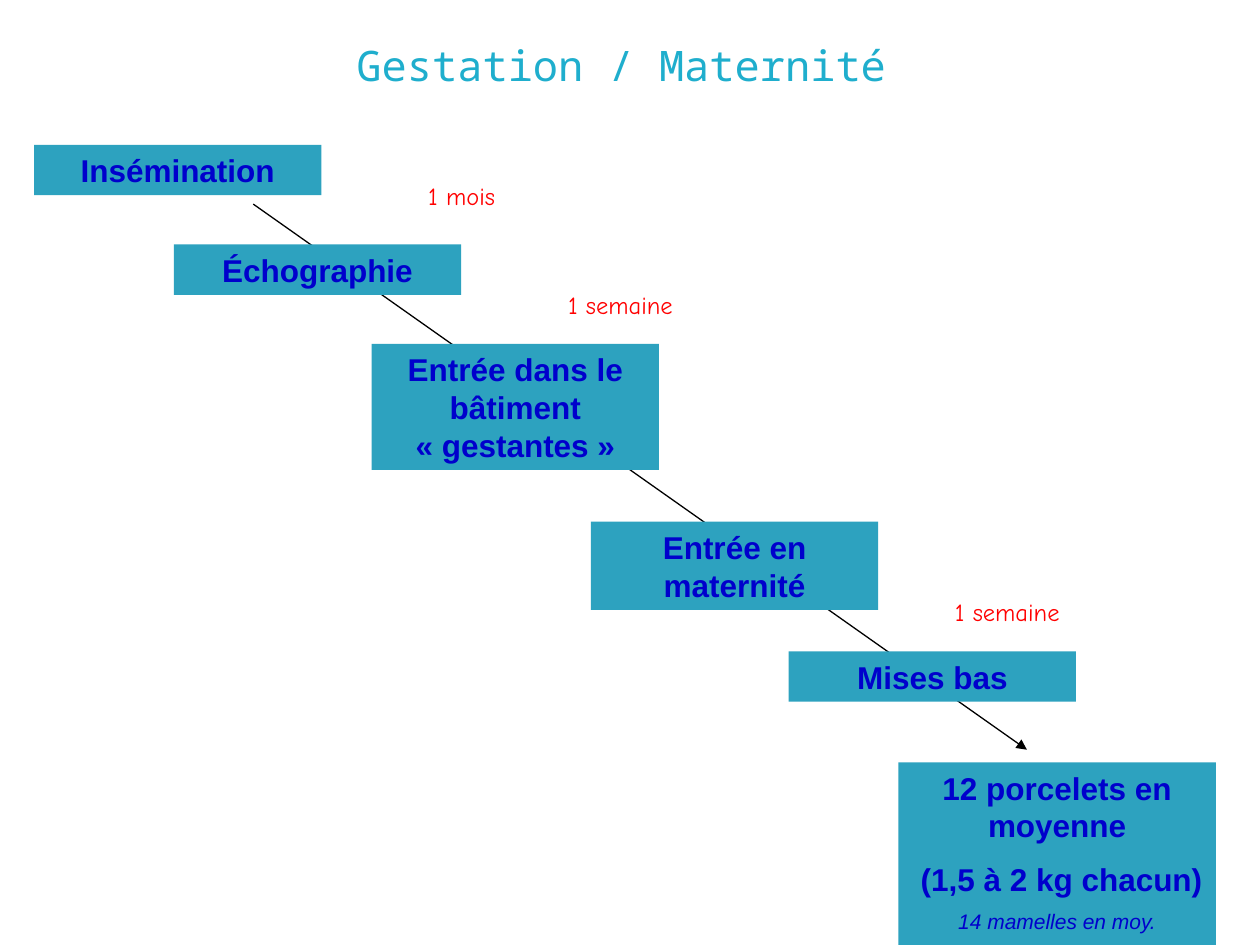
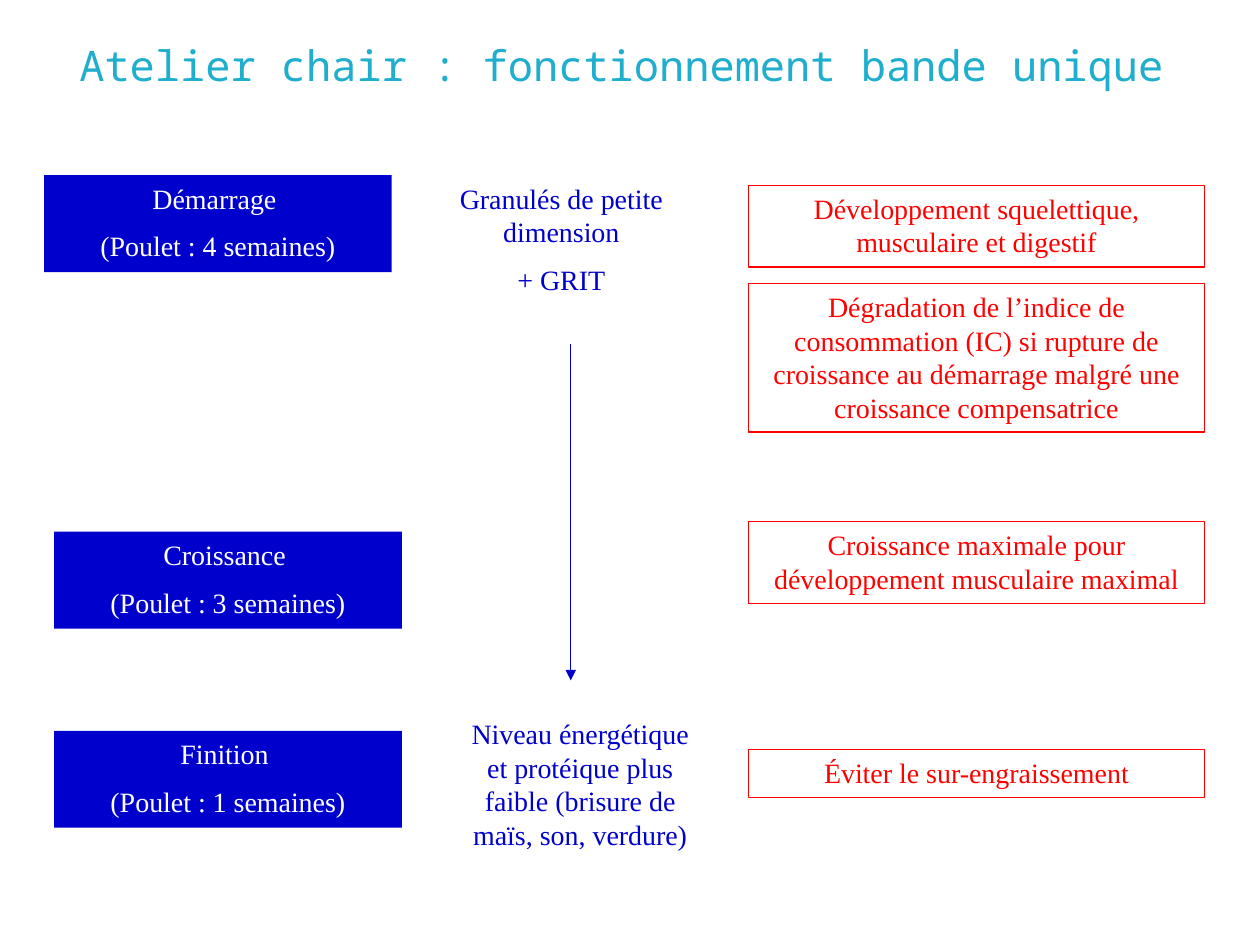
from lxml import etree
from pptx import Presentation
from pptx.dml.color import RGBColor
from pptx.enum.shapes import MSO_CONNECTOR, MSO_SHAPE
from pptx.enum.text import MSO_ANCHOR, MSO_AUTO_SIZE, PP_ALIGN
from pptx.oxml.ns import qn
from pptx.util import Inches, Pt

TITLE_CYAN = RGBColor(0x1F, 0xAE, 0xCD)
TEAL = RGBColor(0x2D, 0xA2, 0xBF)
BLUE = RGBColor(0x00, 0x00, 0xCC)
RED = RGBColor(0xFF, 0x00, 0x00)
WHITE = RGBColor(0xFF, 0xFF, 0xFF)
BLACK = RGBColor(0x00, 0x00, 0x00)

TITLE_FONT, STEP_FONT = "Noto Sans Mono", "Arial"
DELAY_FONT, PHASE_FONT = "Comic Neue", "Times New Roman"


def add_block(slide, box, lines, font, size, color, fill=None, outline=None):
    """Add centred text, in a rectangle when a fill or an outline is given."""
    place = [Inches(length) for length in box]
    if fill is None and outline is None:
        shape = slide.shapes.add_textbox(*place)
    else:
        shape = slide.shapes.add_shape(MSO_SHAPE.RECTANGLE, *place)
        shape.shadow.inherit = False
        if fill is None:
            shape.fill.background()
        else:
            shape.fill.solid()
            shape.fill.fore_color.rgb = fill
        if outline is None:
            shape.line.fill.background()
        else:
            shape.line.color.rgb = outline
            shape.line.width = Pt(0.75)
    frame = shape.text_frame
    frame.word_wrap = True
    frame.auto_size = MSO_AUTO_SIZE.SHAPE_TO_FIT_TEXT
    frame.vertical_anchor = MSO_ANCHOR.TOP
    frame.text = "\n".join(lines)
    for index, paragraph in enumerate(frame.paragraphs):
        paragraph.alignment = PP_ALIGN.CENTER
        paragraph.font.name = font
        paragraph.font.size = Pt(size)
        paragraph.font.color.rgb = color
        if index:
            paragraph.space_before = Pt(size / 2)
    return shape


def add_arrow(slide, start, end, color):
    points = [Inches(length) for length in start + end]
    arrow = slide.shapes.add_connector(MSO_CONNECTOR.STRAIGHT, *points)
    arrow.line.color.rgb = color
    arrow.line.width = Pt(0.75)
    properties = arrow.element.spPr
    etree.SubElement(arrow.line._get_or_add_ln(), qn("a:tailEnd"), type="triangle")
    etree.SubElement(properties, qn("a:effectLst"))


presentation = Presentation()
presentation.slide_width = Inches(10)
presentation.slide_height = Inches(7.5)

# Slides with their shared title style
slides = []
for title in ("Gestation / Maternité", "Atelier chair : fonctionnement bande unique"):
    slide = presentation.slides.add_slide(presentation.slide_layouts[6])
    heading = add_block(slide, (0.43, 0.13, 9, 0.77), [title], TITLE_FONT, 24, TITLE_CYAN)
    heading.text_frame.auto_size = MSO_AUTO_SIZE.NONE
    heading.text_frame.vertical_anchor = MSO_ANCHOR.MIDDLE
    slides.append(slide)
gestation, meat = slides

# Gestation: the arrow runs behind the staircase of steps
add_arrow(gestation, (2.01, 1.62), (8.15, 5.95), BLACK)

steps = [
    (0.27, 1.15, 0.4, "Insémination"),
    (1.38, 1.94, 0.4, "Échographie"),
    (2.95, 2.73, 1, "Entrée dans le bâtiment «\u00a0gestantes\u00a0»"),
    (4.69, 4.14, 0.7, "Entrée en maternité"),
    (6.26, 5.17, 0.4, "Mises bas"),
]
for left, top, height, text in steps:
    step = add_block(gestation, (left, top, 2.28, height), [text], STEP_FONT, 18, BLUE, fill=TEAL)
    step.text_frame.paragraphs[0].font.bold = True

# Result of the farrowing
litter_lines = ["12 porcelets en moyenne", " (1,5 à 2 kg chacun)", "14 mamelles en moy."]
litter = add_block(gestation, (7.13, 6.05, 2.52, 1.45), litter_lines,
                   STEP_FONT, 18, BLUE, fill=TEAL)
*counts, teats = litter.text_frame.paragraphs
for paragraph in counts:
    paragraph.font.bold = True
teats.font.size = Pt(12)
teats.font.italic = True
teats.space_before = Pt(6)

# Delays between steps
for left, top, delay in [(2.8, 1.39, "1 mois"), (4.06, 2.25, "1 semaine"), (7.13, 4.69, "1 semaine")]:
    add_block(gestation, (left, top, 1.73, 0.33), [delay], DELAY_FONT, 14, RED)

# Meat workshop: phases on the left
phases = [
    (0.35, 1.39, "Démarrage ", 4),
    (0.43, 4.22, "Croissance ", 3),
    (0.43, 5.8, "Finition ", 1),
]
for left, top, phase, weeks in phases:
    add_block(meat, (left, top, 2.76, 0.77), [phase, f"(Poulet : {weeks} semaines)"],
              PHASE_FONT, 16, WHITE, fill=BLUE)

# Feed in the middle, from starter to finisher
feeds = [
    ((3.35, 1.39, 2.21, 1.04), ["Granulés de petite dimension", "+ GRIT"]),
    ((3.58, 5.64, 2.05, 1.17),
     ["Niveau énergétique et protéique plus faible (brisure de maïs, son, verdure)"]),
]
for box, lines in feeds:
    add_block(meat, box, lines, PHASE_FONT, 16, BLUE)
add_arrow(meat, (4.53, 2.73), (4.53, 5.4), BLUE)

# Goals on the right
goals = [
    (1.47, 0.65, "Développement squelettique, musculaire et digestif"),
    (2.25, 1.18, "Dégradation de l’indice de consommation (IC) si rupture de croissance "
                 "au démarrage malgré une croissance compensatrice"),
    (4.14, 0.65, "Croissance maximale pour développement musculaire maximal"),
    (5.95, 0.38, "Éviter le sur-engraissement"),
]
for top, height, goal in goals:
    add_block(meat, (5.94, top, 3.62, height), [goal], PHASE_FONT, 16, RED, outline=RED)

presentation.save("out.pptx")
